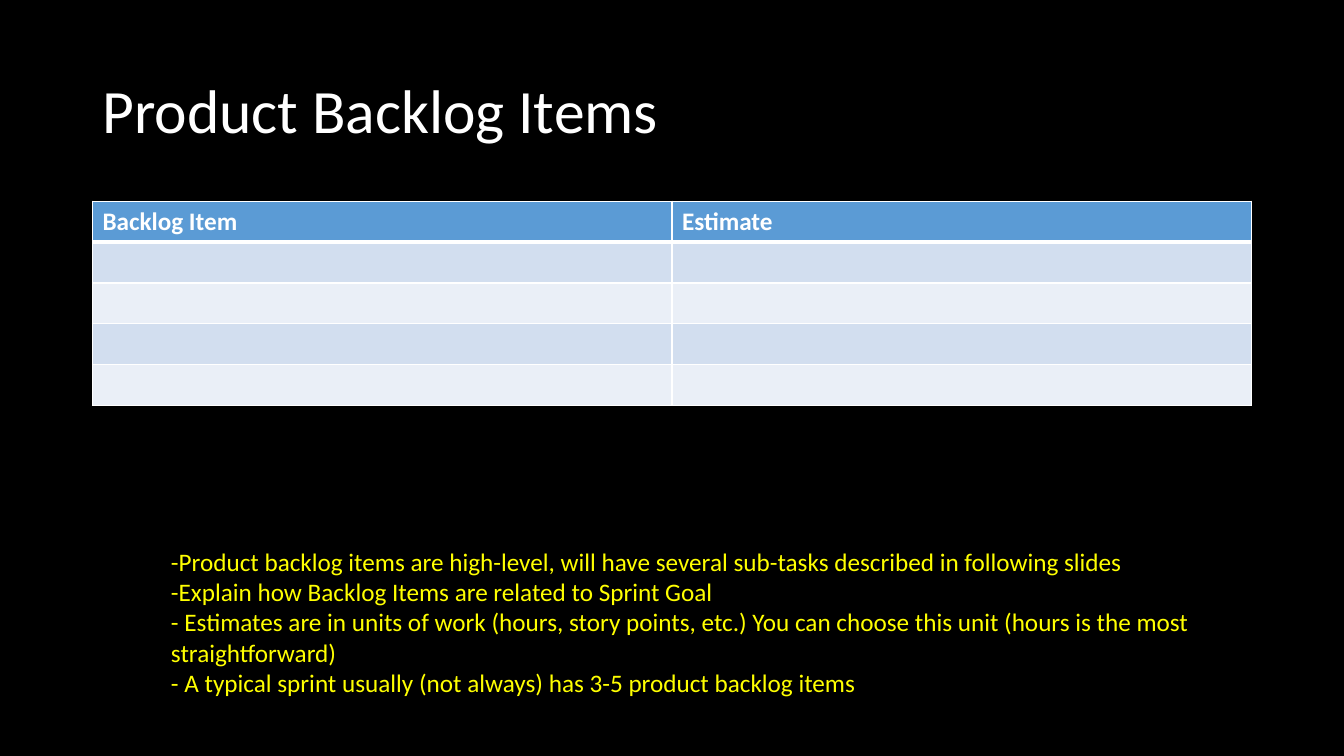
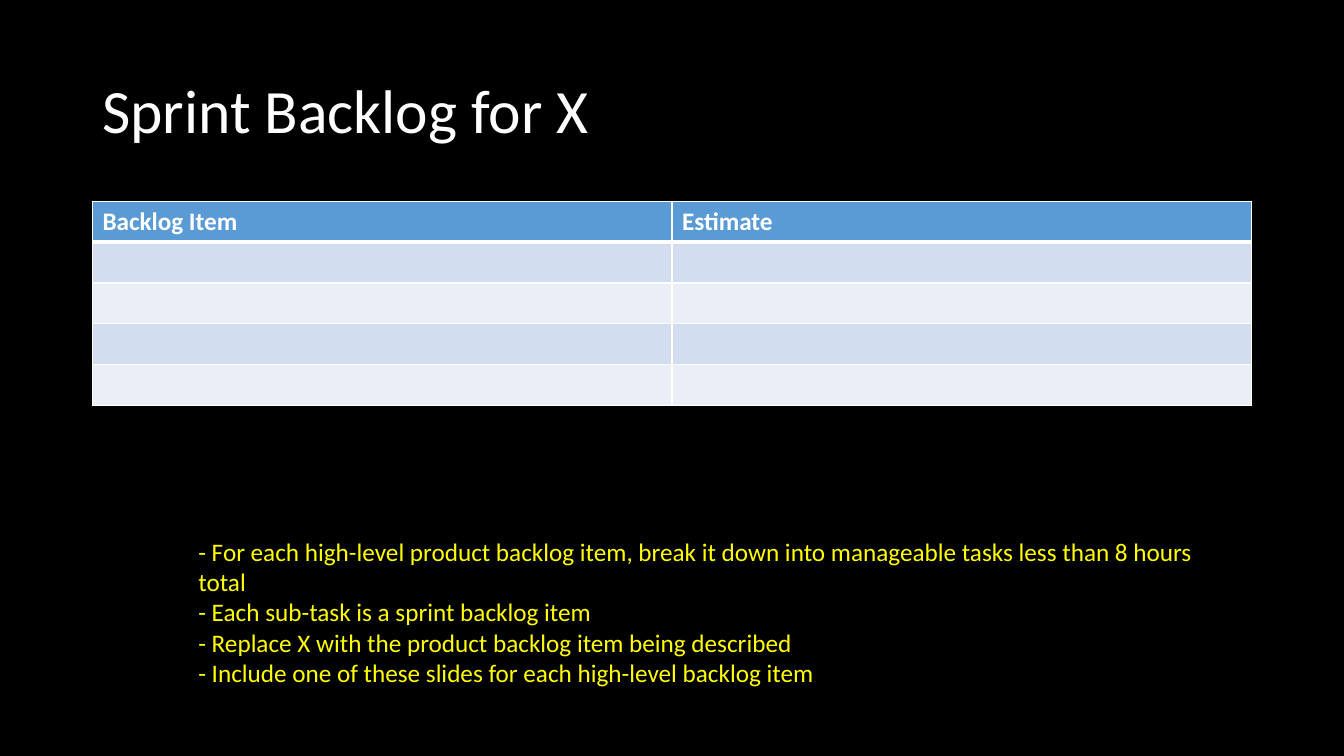
from lxml import etree
from pptx import Presentation
from pptx.dml.color import RGBColor
from pptx.enum.text import MSO_ANCHOR, MSO_AUTO_SIZE
from pptx.oxml.ns import qn
from pptx.util import Cm, Pt

MIDDLE = MSO_ANCHOR.MIDDLE
GROW = MSO_AUTO_SIZE.SHAPE_TO_FIT_TEXT

# Shared look
FONT = "Calibri"
BLACK, WHITE, YELLOW = "000000", "FFFFFF", "FFFF00"
HEADER_BLUE = "5B9BD5"
BANDS = ["D2DEEF", "EAEFF7"]
LEFT, CONTENT_WIDTH = 2.33, 29.21
ROW_HEIGHT, ROW_COUNT = 1.03, 5
HEADINGS = ["Backlog Item", "Estimate"]

# Title, guidance position (left, top, width in cm) and guidance lines
SLIDES = [
    ("Product Backlog Items", (4.06, 13.64, 27.48), [
        "-Product backlog items are high-level, will have several sub-tasks "
        "described in following slides",
        "-Explain how Backlog Items are related to Sprint Goal",
        "- Estimates are in units of work (hours, story points, etc.) You can "
        "choose this unit (hours is the most straightforward)",
        "- A typical sprint usually (not always) has 3-5 product backlog items",
    ]),
    ("Sprint Backlog for X", (4.75, 13.39, 26.01), [
        "- For each high-level product backlog item, break it down into "
        "manageable tasks less than 8 hours total",
        "- Each sub-task is a sprint backlog item",
        "- Replace X with the product backlog item being described",
        "- Include one of these slides for each high-level backlog item",
    ]),
]


def color(hex_value):
    return RGBColor.from_string(hex_value)


def format_text(frame, size, hex_value, bold=False):
    for paragraph in frame.paragraphs:
        for run in paragraph.runs:
            run.font.name = FONT
            run.font.size = Pt(size)
            run.font.bold = bold
            run.font.color.rgb = color(hex_value)


def add_text(slide, text, left, top, width, height, size, hex_value):
    box = slide.shapes.add_textbox(Cm(left), Cm(top), Cm(width), Cm(height))
    frame = box.text_frame
    frame.word_wrap = True
    frame.text = text
    format_text(frame, size, hex_value)
    return frame


def add_title(slide, title):
    frame = add_text(slide, title, LEFT, 1.01, CONTENT_WIDTH, 3.68, 44, WHITE)
    frame.vertical_anchor = MIDDLE
    frame.paragraphs[0].line_spacing = 0.9


def add_guidance(slide, position, lines):
    frame = add_text(slide, "\n".join(lines), *position, 4.11, 18, YELLOW)
    frame.auto_size = GROW


def set_borders(cell, top, bottom):
    properties = cell._tc.get_or_add_tcPr()
    for side, points in (("L", 1), ("R", 1), ("T", top), ("B", bottom)):
        line = etree.SubElement(properties, qn(f"a:ln{side}"), w=str(Pt(points)))
        fill = etree.SubElement(line, qn("a:solidFill"))
        etree.SubElement(fill, qn("a:srgbClr"), val=WHITE)


def add_backlog_table(slide):
    table = slide.shapes.add_table(
        ROW_COUNT, len(HEADINGS), Cm(LEFT), Cm(5.07),
        Cm(CONTENT_WIDTH), Cm(ROW_HEIGHT * ROW_COUNT)).table
    for row_index, row in enumerate(table.rows):
        is_header = row_index == 0
        band = HEADER_BLUE if is_header else BANDS[(row_index - 1) % 2]
        for cell in row.cells:
            # Borders precede the fill in the cell properties
            set_borders(cell, top=3 if row_index == 1 else 1,
                        bottom=3 if is_header else 1)
            cell.fill.solid()
            cell.fill.fore_color.rgb = color(band)
    for column, heading in enumerate(HEADINGS):
        frame = table.cell(0, column).text_frame
        frame.text = heading
        format_text(frame, 18, WHITE, bold=True)


def main():
    deck = Presentation()
    deck.slide_width, deck.slide_height = Cm(33.87), Cm(19.05)
    blank = deck.slide_layouts[6]
    for title, guidance_position, guidance in SLIDES:
        slide = deck.slides.add_slide(blank)
        slide.background.fill.solid()
        slide.background.fill.fore_color.rgb = color(BLACK)
        add_title(slide, title)
        add_backlog_table(slide)
        add_guidance(slide, guidance_position, guidance)
    deck.save("out.pptx")


main()
